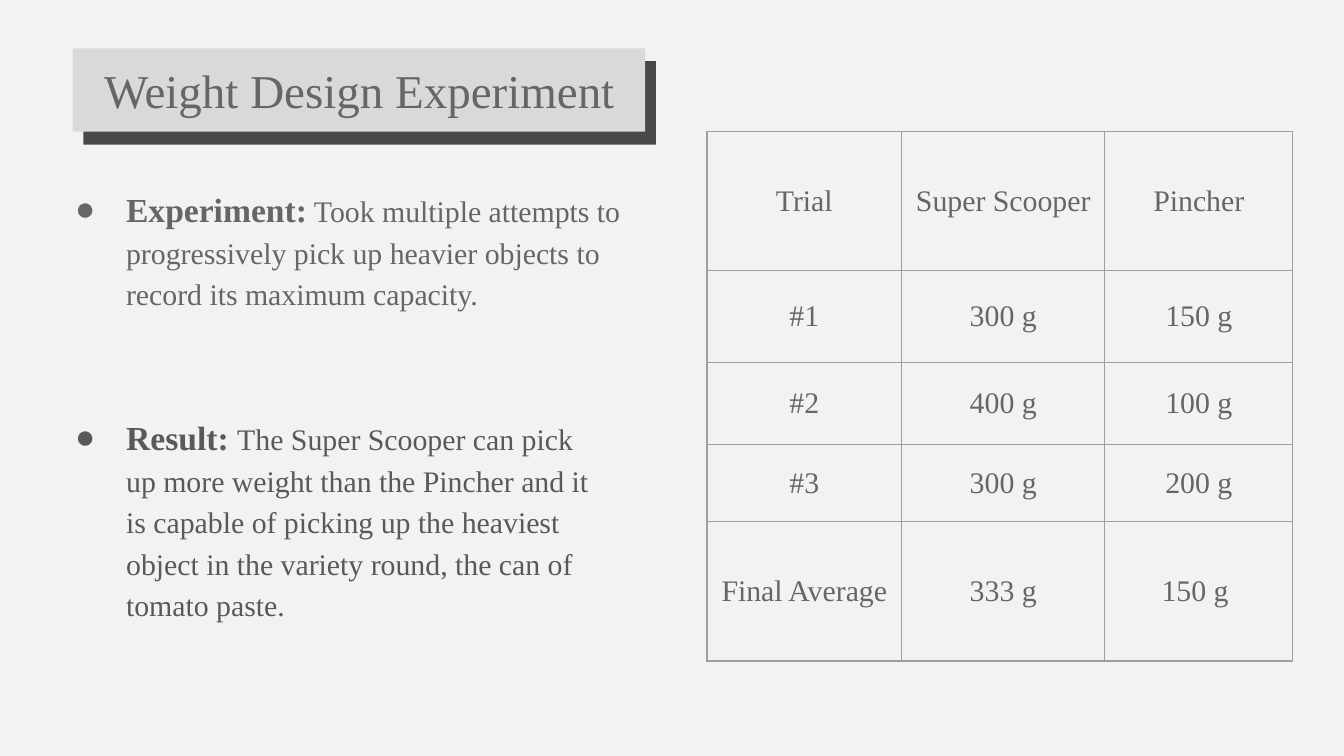
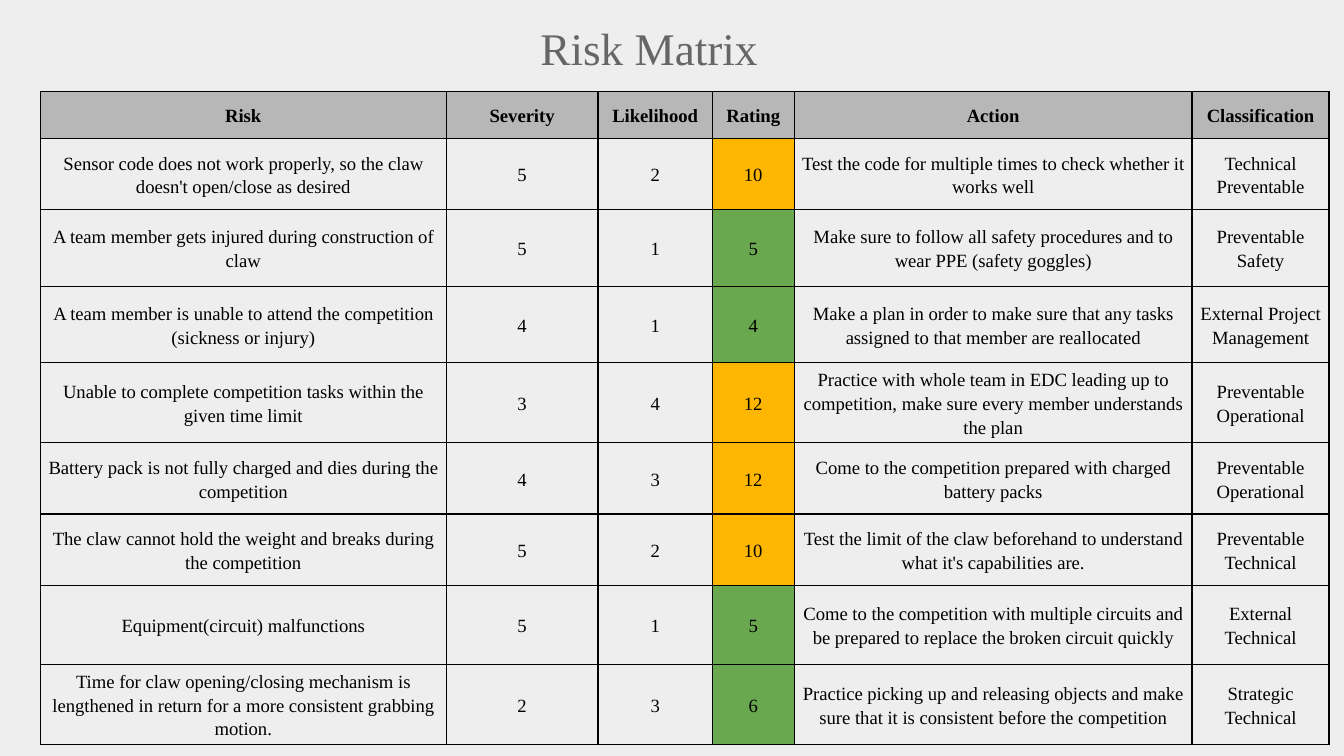
from lxml import etree
from pptx import Presentation
from pptx.dml.color import RGBColor as RGB
from pptx.enum.shapes import MSO_SHAPE as SHAPE
from pptx.enum.text import MSO_ANCHOR as ANCHOR, PP_ALIGN as ALIGN
from pptx.oxml import parse_xml
from pptx.oxml.ns import nsdecls, qn
from pptx.util import Inches, Pt

THEME = {
    "font": "Times New Roman",
    "text": "666666", "result": "595959", "risk": "000000",
    "trial_bg": "F2F2F2", "risk_bg": "EEEEEE", "banner": "D9D9D9",
    "trial_line": "9E9E9E", "risk_line": "000000",
    "header": "B7B7B7", "high": "FFB600", "low": "6AA84F",
    "trial_title": 25.2, "risk_title": 24.2, "label": 18, "body": 16, "small": 10,
}
BOX = {"word_wrap": True, "vertical_anchor": ANCHOR.TOP,
       **dict.fromkeys(("margin_left", "margin_right", "margin_top", "margin_bottom"),
                       Inches(0.1))}


def write(p, text, size, color, bold=False):
    r = p.add_run()
    r.text = text
    fmt = {"name": THEME["font"], "size": Pt(THEME[size]), "bold": bold}
    for key, value in fmt.items():
        setattr(r.font, key, value)
    r.font.color.rgb = RGB.from_string(THEME[color])


def add_grid(s, left, top, cols, rows, data, line, margins, size, color, spacing, fill_for):
    frame = s.shapes.add_table(len(rows), len(cols), Inches(left), Inches(top),
                               Inches(sum(cols)), Inches(sum(rows)))
    table = frame.table
    table.first_row = table.horz_banding = False
    for col, width in zip(table.columns, cols):
        col.width = Inches(width)
    for row, height in zip(table.rows, rows):
        row.height = Inches(height)
    mx, my = (Inches(m) for m in margins)
    fmt = {"margin_left": mx, "margin_right": mx, "margin_top": my,
           "margin_bottom": my, "vertical_anchor": ANCHOR.MIDDLE}
    for i, values in enumerate(data):
        for j, value in enumerate(values):
            cell = table.cell(i, j)
            for key, setting in fmt.items():
                setattr(cell, key, setting)
            for side in "LRTB":
                cell._tc.get_or_add_tcPr().append(parse_xml(
                    f'<a:ln{side} {nsdecls("a")} w="{Pt(0.75)}"><a:solidFill>'
                    f'<a:srgbClr val="{THEME[line]}"/></a:solidFill></a:ln{side}>'))
            fill = fill_for(i, j, value)
            if fill:
                cell.fill.solid()
                cell.fill.fore_color.rgb = RGB.from_string(THEME[fill])
            else:
                cell.fill.background()
            tf = cell.text_frame
            for n, part in enumerate(str(value).split("\n")):
                p = tf.add_paragraph() if n else tf.paragraphs[0]
                p.alignment = ALIGN.CENTER
                p.line_spacing = spacing
                write(p, part, size, color, bold=fill == "header")


prs = Presentation()
prs.slide_width = Inches(10)
prs.slide_height = prs.slide_width * 9 // 16

slides = []
for title, bg, size, box in [
    ("Weight Design Experiment", "trial_bg", "trial_title", (0.24, 0.36, 4.87, 0.63)),
    ("Risk Matrix", "risk_bg", "risk_title", (0.17, 0.05, 9.32, 0.63)),
]:
    s = prs.slides.add_slide(prs.slide_layouts[6])
    s.background.fill.solid()
    s.background.fill.fore_color.rgb = RGB.from_string(THEME[bg])
    if not slides:
        banner = s.shapes.add_shape(SHAPE.RECTANGLE, *map(Inches, (0.54, 0.36, 4.26, 0.62)))
        banner.fill.solid()
        banner.fill.fore_color.rgb = RGB.from_string(THEME["banner"])
        banner.line.fill.background()
        banner.shadow.inherit = False
        effects = banner._element.spPr.find(qn("a:effectLst"))
        shadow = etree.SubElement(effects, qn("a:outerShdw"), dist=str(Pt(9)),
                                  dir=str(50 * 60000), algn="bl", rotWithShape="0")
        shade = etree.SubElement(shadow, qn("a:srgbClr"), val="000000")
        etree.SubElement(shade, qn("a:alpha"), val="70000")
    tf = s.shapes.add_textbox(*map(Inches, box)).text_frame
    for key, value in BOX.items():
        setattr(tf, key, value)
    tf.paragraphs[0].alignment = ALIGN.CENTER
    write(tf.paragraphs[0], title, size, "text")
    slides.append(s)
trial_slide, risk_slide = slides

trials = [
    ("Trial", "Super Scooper", "Pincher"),
    ("#1", "300 g", "150 g"),
    ("#2", "400 g", "100 g"),
    ("#3", "300 g", "200 g"),
    ("Final Average", "333 g", "150 g "),
]
add_grid(trial_slide, 5.26, 0.98, [1.45, 1.51, 1.4], [1.03, 0.69, 0.61, 0.57, 1.04], trials,
         "trial_line", (0.1, 0.1), "body", "text", 1.0, lambda i, j, value: None)

for label, body, color, box in [
    ("Experiment:", " Took multiple attempts to progressively pick up heavier objects "
     "to record its maximum capacity.", "text", (0.34, 1.26, 4.66, 1.7)),
    ("Result: ", "The Super Scooper can pick up more weight than the Pincher and it is "
     "capable of picking up the heaviest object in the variety round, the can of tomato paste.",
     "result", (0.34, 2.96, 4.22, 1.75)),
]:
    tf = trial_slide.shapes.add_textbox(*map(Inches, box)).text_frame
    for key, value in BOX.items():
        setattr(tf, key, value)
    p = tf.paragraphs[0]
    pPr = p._p.get_or_add_pPr()
    pPr.set("marL", str(Inches(0.5)))
    pPr.set("indent", str(Inches(-0.38)))
    bullet_color = etree.SubElement(pPr, qn("a:buClr"))
    etree.SubElement(bullet_color, qn("a:srgbClr"), val=THEME[color])
    etree.SubElement(pPr, qn("a:buFont"), typeface=THEME["font"])
    etree.SubElement(pPr, qn("a:buChar"), char="●")
    p.line_spacing = 1.15
    write(p, label, "label", color, bold=True)
    write(p, body, "body", color)

risks = [
    ("Sensor code does not work properly, so the claw doesn't open/close as desired", 5, 2,
     "Test the code for multiple times to check whether it works well",
     "Technical Preventable"),
    ("A team member gets injured during construction of claw", 5, 1,
     "Make sure to follow all safety procedures and to\nwear PPE (safety goggles)",
     "Preventable Safety"),
    ("A team member is unable to attend the competition (sickness or injury)", 4, 1,
     "Make a plan in order to make sure that any tasks assigned to that member are reallocated",
     "External Project Management"),
    ("Unable to complete competition tasks within the given time limit", 3, 4,
     "Practice with whole team in EDC leading up to competition, make sure every member "
     "understands the plan", "Preventable Operational"),
    ("Battery pack is not fully charged and dies during the competition", 4, 3,
     "Come to the competition prepared with charged battery packs",
     "Preventable Operational"),
    ("The claw cannot hold the weight and breaks during the competition", 5, 2,
     "Test the limit of the claw beforehand to understand what it's capabilities are.",
     "Preventable Technical"),
    ("Equipment(circuit) malfunctions", 5, 1,
     "Come to the competition with multiple circuits and be prepared to replace the broken "
     "circuit quickly", "External Technical"),
    ("Time for claw opening/closing mechanism is lengthened in return for a more consistent "
     "grabbing motion.", 2, 3,
     "Practice picking up and releasing objects and make sure that it is consistent before "
     "the competition", "Strategic Technical"),
]
matrix = [("Risk", "Severity", "Likelihood", "Rating", "Action", "Classification")]
for risk, severity, likelihood, action, kind in risks:
    matrix.append((risk, severity, likelihood, severity * likelihood, action, kind))

add_grid(risk_slide, 0.3, 0.68, [3.02, 1.13, 0.85, 0.61, 2.96, 1.02],
         [0.35, 0.53, 0.57, 0.57, 0.59, 0.53, 0.53, 0.59, 0.59], matrix,
         "risk_line", (0.03, 0.01), "small", "risk", 1.15,
         lambda i, j, value: "header" if i == 0 else
         None if j != 3 else "high" if value >= 10 else "low")

prs.save("out.pptx")
